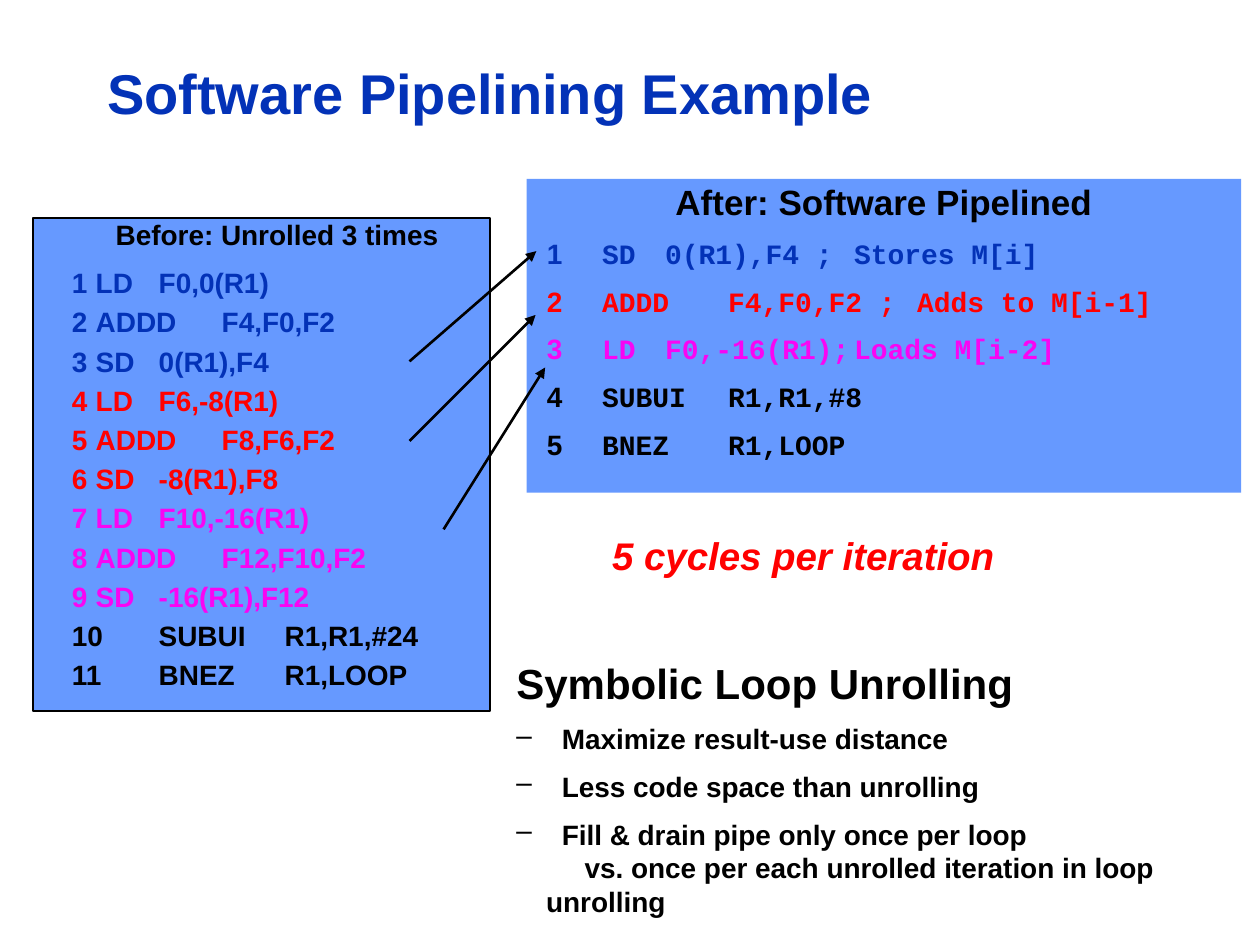
from lxml.etree import SubElement
from pptx import Presentation
from pptx.dml.color import RGBColor
from pptx.enum.shapes import MSO_CONNECTOR as CONNECTOR, MSO_SHAPE as SHAPE
from pptx.enum.text import MSO_ANCHOR as ANCHOR, PP_ALIGN as ALIGN
from pptx.oxml.ns import qn
from pptx.util import Pt

BLACK = RGBColor(0, 0, 0)
BLUE = RGBColor(0x03, 0x32, 0xB7)
RED = RGBColor(0xFF, 0, 0)
MAGENTA = RGBColor(0xF9, 0x05, 0xF3)
PANEL = RGBColor(0x66, 0x99, 0xFF)
SANS, MONO = "Arial", "Courier New"

TITLE = "Software Pipelining Example"
BEFORE_HEADING = "Before: Unrolled 3 times"
BEFORE = [
    (BLUE, [("LD", "F0,0(R1)"), ("ADDD", "F4,F0,F2"), ("SD", "0(R1),F4")]),
    (RED, [("LD", "F6,-8(R1)"), ("ADDD", "F8,F6,F2"), ("SD", "-8(R1),F8")]),
    (MAGENTA, [("LD", "F10,-16(R1)"), ("ADDD", "F12,F10,F2"), ("SD", "-16(R1),F12")]),
    (BLACK, [("SUBUI", "R1,R1,#24"), ("BNEZ", "R1,LOOP")]),
]
AFTER_HEADING = "After: Software Pipelined"
AFTER = [
    (BLUE, ("SD", "0(R1),F4 ;", "Stores M[i]")),
    (RED, ("ADDD", "F4,F0,F2 ;", "Adds to M[i-1]")),
    (MAGENTA, ("LD", "F0,-16(R1);", "Loads M[i-2]")),
    (BLACK, ("SUBUI", "R1,R1,#8")),
    (BLACK, ("BNEZ", "R1,LOOP")),
]
CYCLES = "5 cycles per iteration"
SUMMARY_HEADING = "Symbolic Loop Unrolling"
BENEFITS = [
    "Maximize result-use distance",
    "Less code space than unrolling",
    "Fill & drain pipe only once per loop",
]
CONTRAST = "vs. once per each unrolled iteration in loop unrolling"
ARROWS = [
    ((234, 252), (306, 180)),
    ((234, 206.5), (306.5, 143.5)),
    ((253.5, 302.5), (311.5, 210)),
]


def add_run(line, text, size, color=BLACK, face=SANS, italic=False):
    run = line.add_run()
    run.text = text
    style = {"name": face, "size": Pt(size), "bold": True, "italic": italic}
    for key, value in style.items():
        setattr(run.font, key, value)
    run.font.color.rgb = color


def add_line(frame, before=0, after=0, align=ALIGN.LEFT, margin=0, indent=0,
             bullet=None, tabs=()):
    line = frame.paragraphs[0]
    if line.runs:
        line = frame.add_paragraph()
    spacing = {"space_before": Pt(before), "space_after": Pt(after), "alignment": align}
    for key, value in spacing.items():
        setattr(line, key, value)
    props = line._p.get_or_add_pPr()
    props.set("marL", str(Pt(margin)))
    props.set("indent", str(Pt(indent)))
    if bullet:
        SubElement(props, qn("a:buChar"), char=bullet)
    if tabs:
        stops = SubElement(props, qn("a:tabLst"))
        for stop in tabs:
            SubElement(stops, qn("a:tab"), pos=str(Pt(stop)), algn="l")
    return line


def set_frame(frame, inset=(7.2, 3.6), anchor=ANCHOR.TOP, wrap=True):
    side, edge = Pt(inset[0]), Pt(inset[1])
    layout = {"margin_left": side, "margin_right": side, "margin_top": edge,
              "margin_bottom": edge, "vertical_anchor": anchor, "word_wrap": wrap}
    for key, value in layout.items():
        setattr(frame, key, value)
    return frame


def add_panel(slide, place, inset):
    panel = slide.shapes.add_shape(SHAPE.RECTANGLE, *map(Pt, place))
    panel.shadow.inherit = False
    panel.fill.solid()
    panel.fill.fore_color.rgb = PANEL
    return panel, set_frame(panel.text_frame, inset)


def add_text(slide, place, **layout):
    return set_frame(slide.shapes.add_textbox(*map(Pt, place)).text_frame, **layout)


def add_arrow(slide, start, end):
    arrow = slide.shapes.add_connector(CONNECTOR.STRAIGHT, *map(Pt, start + end))
    arrow.line.color.rgb = BLACK
    arrow.line.width = Pt(1.5)
    SubElement(arrow.line._get_or_add_ln(), qn("a:tailEnd"), type="triangle")
    SubElement(arrow._element.spPr, qn("a:effectLst"))


def main():
    deck = Presentation()
    deck.slide_width, deck.slide_height = Pt(720), Pt(540)
    slide = deck.slides.add_slide(deck.slide_layouts[5])

    title = slide.shapes.title
    title.left, title.top, title.width, title.height = map(Pt, (54, 26, 574.5, 58))
    heading = add_line(set_frame(title.text_frame, anchor=ANCHOR.MIDDLE))
    heading.line_spacing = 0.9
    add_run(heading, TITLE, 32, BLUE)

    after, code = add_panel(slide, (301, 102.25, 408.25, 179.25), (7.2, 3.6))
    after.line.fill.background()
    heading = add_line(code, align=ALIGN.CENTER)
    heading.line_spacing = 0.9
    add_run(heading, AFTER_HEADING, 20)
    for number, (color, parts) in enumerate(AFTER, 1):
        line = add_line(code, before=8, indent=4.4, tabs=(40.5, 112.5, 256.5))
        add_run(line, str(number), 16, color)
        add_run(line, "\t" + "\t".join(parts), 16, color, MONO)

    summary = add_text(slide, (288, 372.25, 440.5, 142.5))
    add_run(add_line(summary), SUMMARY_HEADING, 24)
    for benefit in BENEFITS:
        line = add_line(summary, before=8, margin=26, indent=-26, bullet="–")
        add_run(line, benefit, 16)
    add_run(add_line(summary, margin=17, indent=22), CONTRAST, 16)

    cycles = add_text(slide, (342, 300.25, 234, 34), anchor=ANCHOR.MIDDLE, wrap=False)
    add_run(add_line(cycles, align=ALIGN.CENTER), CYCLES, 22, RED, italic=True)

    before, code = add_panel(slide, (18.75, 124.5, 261.25, 282), (0, 0))
    before.line.color.rgb = BLACK
    before.line.width = Pt(1)
    add_run(add_line(code, after=5, align=ALIGN.CENTER, margin=18), BEFORE_HEADING, 16)
    rows = [(color, parts) for color, group in BEFORE for parts in group]
    for number, (color, parts) in enumerate(rows, 1):
        line = add_line(code, before=3.2, indent=22.4, tabs=(90, 162))
        add_run(line, "\t".join((str(number), *parts)), 16, color)

    for start, end in ARROWS:
        add_arrow(slide, start, end)

    deck.save("out.pptx")


if __name__ == "__main__":
    main()
